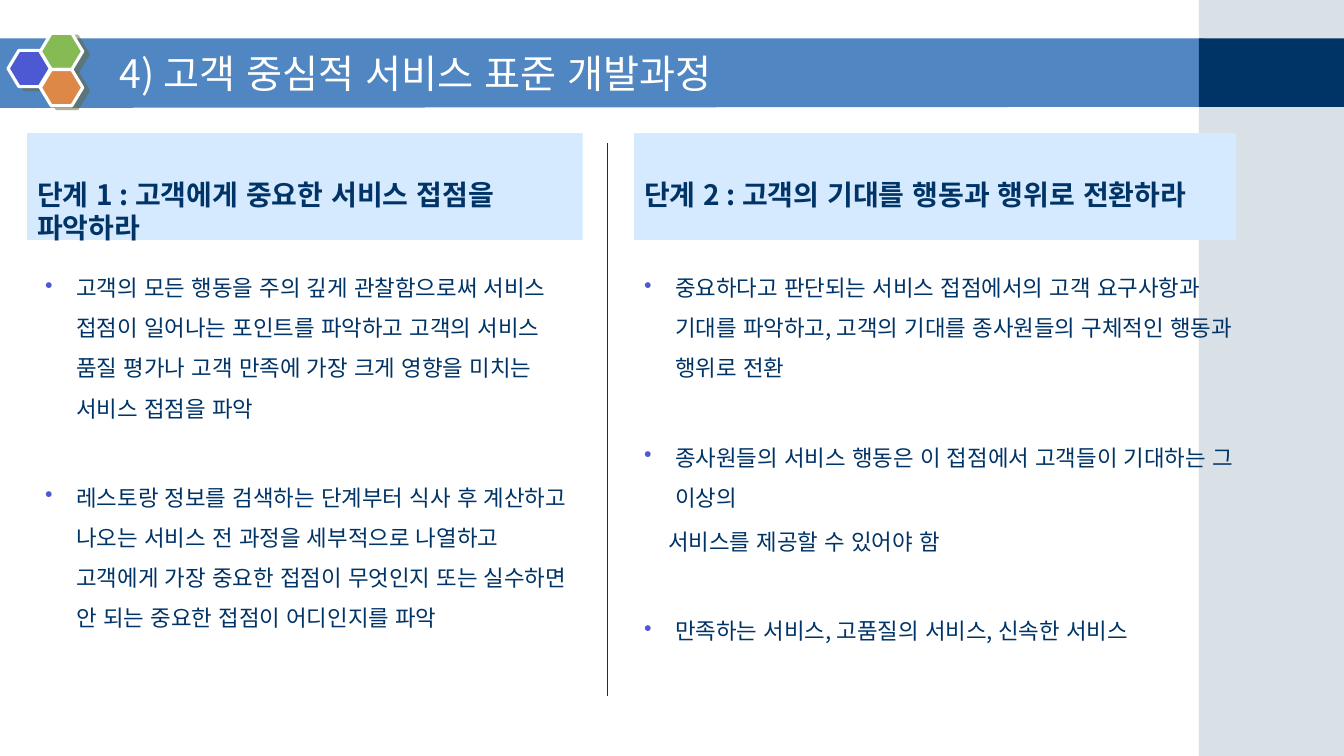
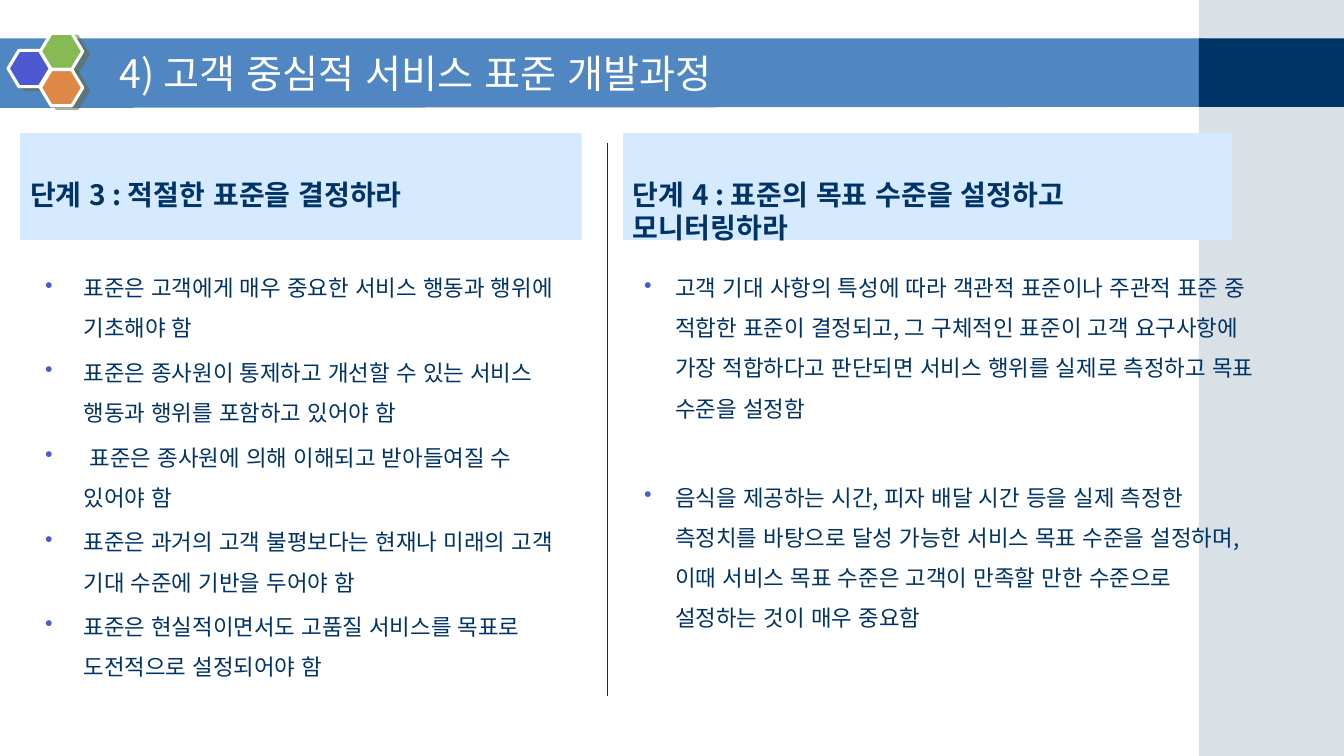
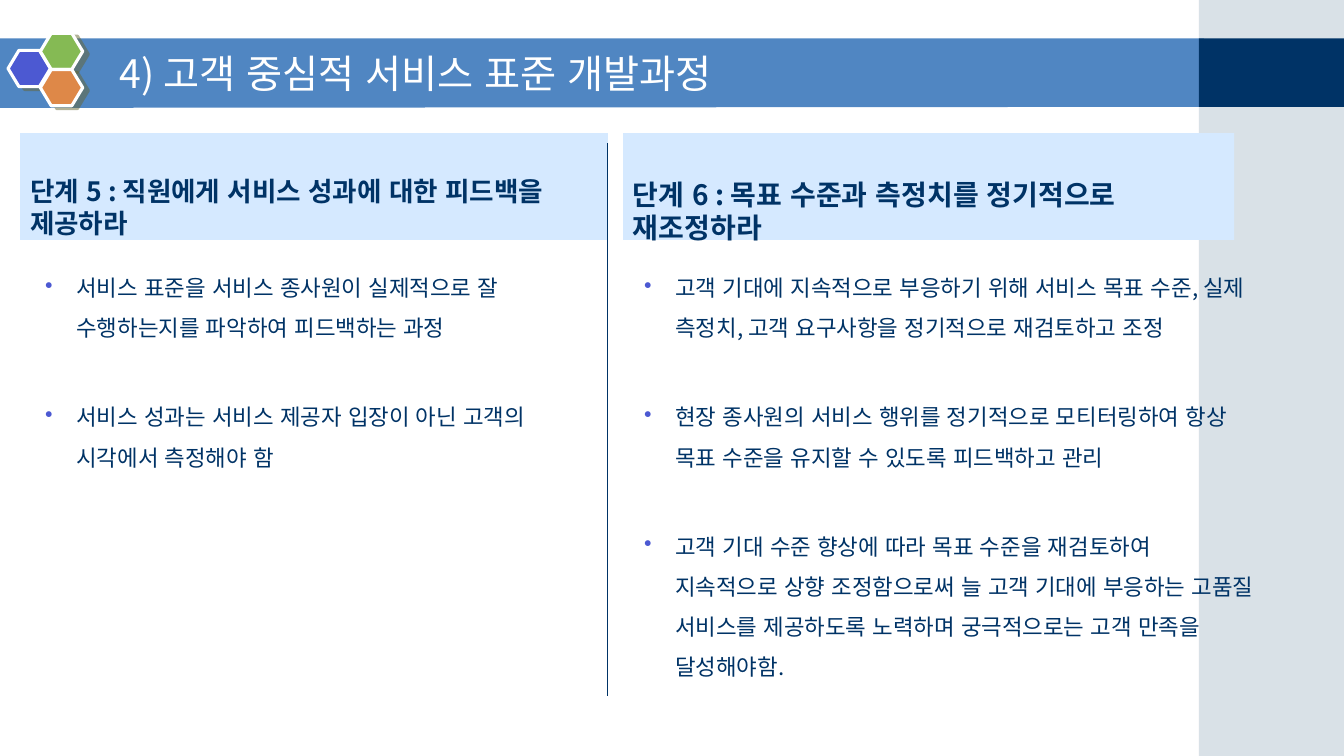
from dataclasses import dataclass

from lxml import etree
from pptx import Presentation
from pptx.dml.color import RGBColor
from pptx.enum import lang, shapes, text
from pptx.oxml import ns
from pptx.util import Inches, Pt

NAVY = RGBColor(0x00, 0x33, 0x66)
BAND_BLUE = RGBColor(0x50, 0x86, 0xC2)
SIDE_GREY = RGBColor(0xA0, 0xB5, 0xC4)
PALE_BLUE = RGBColor(0xD5, 0xE9, 0xFF)
INDIGO = RGBColor(0x4C, 0x59, 0xD2)
GREEN = RGBColor(0x85, 0xBA, 0x54)
ORANGE = RGBColor(0xDE, 0x88, 0x48)
OLIVE = RGBColor(0x66, 0x66, 0x33)
WHITE = RGBColor(0xFF, 0xFF, 0xFF)

FONT = "Noto Sans CJK KR"
TITLE = "4) 고객 중심적 서비스 표준 개발과정"
WIDTH, HEIGHT = 13.33, 7.5
BAND_TOP, BAND_BOTTOM = 0.38, 1.06
SIDE_LEFT = 11.89
HEADING_TOP, HEADING_HEIGHT = 1.32, 1.06
BODY_TOP, BODY_HEIGHT = 2.22, 4.75
BODY_COLUMNS = ((0.35, 5.49), (6.29, 6.3))
DIVIDER_X = 6.03
BODY_LINE = 28.65
TIGHT, WIDE = 3.2, 35


@dataclass(frozen=True)
class Box:
    left: float
    top: float
    width: float
    height: float

    def emu(self) -> tuple:
        return tuple(Inches(v) for v in (self.left, self.top, self.width, self.height))


@dataclass(frozen=True)
class Point:
    words: str
    before: float = WIDE
    bullet: bool = True


@dataclass(frozen=True)
class Step:
    heading: str
    left: float
    width: float
    points: tuple
    heading_size: float = 20
    hang: float = 0.31


HEXAGONS = ((0.08, 0.5, INDIGO), (0.4, 0.33, GREEN), (0.4, 0.69, ORANGE))

SLIDES = (
    (
        Step("단계 1 : 고객에게 중요한 서비스 접점을 파악하라", 0.27, 5.51, (
            Point("고객의 모든 행동을 주의 깊게 관찰함으로써 서비스 접점이 일어나는 포인트를 파악하고 "
                  "고객의 서비스 품질 평가나 고객 만족에 가장 크게 영향을 미치는 서비스 접점을 파악"),
            Point("레스토랑 정보를 검색하는 단계부터 식사 후 계산하고 나오는 서비스 전 과정을 세부적으로 "
                  "나열하고 고객에게 가장 중요한 접점이 무엇인지 또는 실수하면 안 되는 중요한 접점이 "
                  "어디인지를 파악"),
        )),
        Step("단계 2 : 고객의 기대를 행동과 행위로 전환하라", 6.29, 5.97, (
            Point("중요하다고 판단되는 서비스 접점에서의 고객 요구사항과 기대를 파악하고, "
                  "고객의 기대를 종사원들의 구체적인 행동과 행위로 전환"),
            Point("종사원들의 서비스 행동은 이 접점에서 고객들이 기대하는 그 이상의"),
            Point("서비스를 제공할 수 있어야 함", TIGHT, bullet=False),
            Point("만족하는 서비스, 고품질의 서비스, 신속한 서비스"),
        )),
    ),
    (
        Step("단계 3 : 적절한 표준을 결정하라", 0.2, 5.57, (
            Point("표준은 고객에게 매우 중요한 서비스 행동과 행위에 기초해야 함"),
            Point("표준은 종사원이 통제하고 개선할 수 있는 서비스 행동과 행위를 포함하고 있어야 함", TIGHT),
            Point(" 표준은 종사원에 의해 이해되고 받아들여질 수 있어야 함", TIGHT),
            Point("표준은 과거의 고객 불평보다는 현재나 미래의 고객 기대 수준에 기반을 두어야 함", TIGHT),
            Point("표준은 현실적이면서도 고품질 서비스를 목표로 도전적으로 설정되어야 함", TIGHT),
        ), hang=0.38),
        Step("단계 4 : 표준의 목표 수준을 설정하고 모니터링하라", 6.18, 6.04, (
            Point("고객 기대 사항의 특성에 따라 객관적 표준이나 주관적 표준 중 적합한 표준이 결정되고, "
                  "그 구체적인 표준이 고객 요구사항에 가장 적합하다고 판단되면 서비스 행위를 실제로 "
                  "측정하고 목표 수준을 설정함"),
            Point("음식을 제공하는 시간, 피자 배달 시간 등을 실제 측정한 측정치를 바탕으로 달성 가능한 "
                  "서비스 목표 수준을 설정하며, 이때 서비스 목표 수준은 고객이 만족할 만한 수준으로 "
                  "설정하는 것이 매우 중요함"),
        )),
    ),
    (
        Step("단계 5 : 직원에게 서비스 성과에 대한 피드백을 제공하라", 0.2, 5.83, (
            Point("서비스 표준을 서비스 종사원이 실제적으로 잘 수행하는지를 파악하여 피드백하는 과정"),
            Point("서비스 성과는 서비스 제공자 입장이 아닌 고객의 시각에서 측정해야 함"),
        ), heading_size=19),
        Step("단계 6 : 목표 수준과 측정치를 정기적으로 재조정하라", 6.18, 6.06, (
            Point("고객 기대에 지속적으로 부응하기 위해 서비스 목표 수준, 실제 측정치, "
                  "고객 요구사항을 정기적으로 재검토하고 조정"),
            Point("현장 종사원의 서비스 행위를 정기적으로 모티터링하여 항상 목표 수준을 유지할 수 있도록 "
                  "피드백하고 관리"),
            Point("고객 기대 수준 향상에 따라 목표 수준을 재검토하여 지속적으로 상향 조정함으로써 늘 "
                  "고객 기대에 부응하는 고품질 서비스를 제공하도록 노력하며 궁극적으로는 고객 만족을 "
                  "달성해야함."),
        )),
    ),
)


def child(parent, tag: str, **attributes):
    """Append a DrawingML element."""
    return etree.SubElement(parent, ns.qn(tag), attributes)


def write(paragraph, words: str, *, size: float, color: RGBColor = NAVY, bold: bool = False,
          line: float = 0, before: float = 0) -> None:
    """Fill a paragraph with one formatted Korean run."""
    paragraph.alignment = text.PP_ALIGN.LEFT
    paragraph.space_before = Pt(before)
    if line:
        paragraph.line_spacing = Pt(line)
    run = paragraph.add_run()
    run.text = words
    font = run.font
    font.name, font.size, font.bold = FONT, Pt(size), bold
    font.color.rgb = color
    font.language_id = lang.MSO_LANGUAGE_ID.KOREAN
    child(run._r.get_or_add_rPr(), "a:ea", typeface=FONT)


def set_bullet(paragraph, hang: float) -> None:
    properties = paragraph._p.get_or_add_pPr()
    properties.set("marL", str(Inches(hang)))
    properties.set("indent", str(-Inches(hang)))
    child(child(properties, "a:buClr"), "a:srgbClr", val=str(INDIGO))
    child(properties, "a:buChar", char="•")


def prepare_frame(shape, anchor, top: float = 0.05):
    frame = shape.text_frame
    frame.word_wrap = True
    frame.vertical_anchor = anchor
    frame.margin_top = Inches(top)
    return frame


def paint(shape, color: RGBColor):
    shape.shadow.inherit = False
    shape.fill.solid()
    shape.fill.fore_color.rgb = color
    shape.line.fill.background()
    return shape


def add_panel(slide, box: Box, color: RGBColor, kind=shapes.MSO_SHAPE.RECTANGLE):
    return paint(slide.shapes.add_shape(kind, *box.emu()), color)


def add_hexagon(slide, left: float, top: float, color: RGBColor) -> None:
    hexagon = add_panel(slide, Box(left, top, 0.42, 0.36), color, shapes.MSO_SHAPE.HEXAGON)
    hexagon.adjustments[0] = 0.3
    hexagon.line.color.rgb = WHITE
    hexagon.line.width = Pt(2.25)
    effects = hexagon._element.spPr.find(ns.qn("a:effectLst"))
    shadow = child(effects, "a:outerShdw", blurRad="0", dist=str(Pt(4.5)),
                   dir=str(27 * 60000), algn="ctr", rotWithShape="0")
    child(child(shadow, "a:srgbClr", val=str(OLIVE)), "a:alpha", val="50000")


def add_frame(slide) -> None:
    """Draw the band, side strip, emblem and title shared by all slides."""
    corners = [(Inches(x), Inches(y)) for x, y in
               ((0, BAND_TOP), (11.94, BAND_TOP), (11.93, BAND_BOTTOM), (0, 1.07))]
    band = slide.shapes.build_freeform(*corners[0])
    band.add_line_segments(corners[1:], close=True)
    paint(band.convert_to_shape(), BAND_BLUE)

    side_width = WIDTH - SIDE_LEFT
    strip = add_panel(slide, Box(SIDE_LEFT, 0, side_width, HEIGHT), SIDE_GREY)
    child(strip._element.spPr.find(".//" + ns.qn("a:srgbClr")), "a:alpha", val="40000")
    add_panel(slide, Box(SIDE_LEFT, BAND_TOP, side_width, BAND_BOTTOM - BAND_TOP), NAVY)
    for left, top, color in HEXAGONS:
        add_hexagon(slide, left, top, color)

    title = slide.shapes.add_textbox(*Box(1.09, 0.42, 11.5, 0.6).emu())
    frame = prepare_frame(title, text.MSO_ANCHOR.MIDDLE)
    write(frame.paragraphs[0], TITLE, size=28, color=WHITE)


def add_step(slide, step: Step, column: tuple) -> None:
    size = step.heading_size
    panel = add_panel(slide, Box(step.left, HEADING_TOP, step.width, HEADING_HEIGHT), PALE_BLUE)
    frame = prepare_frame(panel, text.MSO_ANCHOR.TOP, 0.05 + 1.4 * size / 72)
    write(frame.paragraphs[0], step.heading, size=size, bold=True, line=1.2 * size)

    left, width = column
    body = slide.shapes.add_textbox(*Box(left, BODY_TOP, width, BODY_HEIGHT).emu())
    frame = prepare_frame(body, text.MSO_ANCHOR.TOP, 0.37)
    for index, point in enumerate(step.points):
        paragraph = frame.add_paragraph() if index else frame.paragraphs[0]
        if point.bullet:
            set_bullet(paragraph, step.hang)
        else:
            paragraph._p.get_or_add_pPr().set("marL", str(Inches(0.24)))
        write(paragraph, point.words, size=16, line=BODY_LINE,
              before=point.before if index else 0)


def add_divider(slide) -> None:
    x = Inches(DIVIDER_X)
    divider = slide.shapes.add_connector(shapes.MSO_CONNECTOR.STRAIGHT,
                                         x, Inches(1.42), x, Inches(6.9))
    divider.line.color.rgb = NAVY
    divider.line.width = Pt(0.75)
    child(divider._element.spPr, "a:effectLst")


def main() -> None:
    deck = Presentation()
    deck.slide_width, deck.slide_height = Inches(WIDTH), Inches(HEIGHT)
    for steps in SLIDES:
        slide = deck.slides.add_slide(deck.slide_layouts[6])
        add_frame(slide)
        for step, column in zip(steps, BODY_COLUMNS):
            add_step(slide, step, column)
        add_divider(slide)
    deck.save("out.pptx")


if __name__ == "__main__":
    main()
